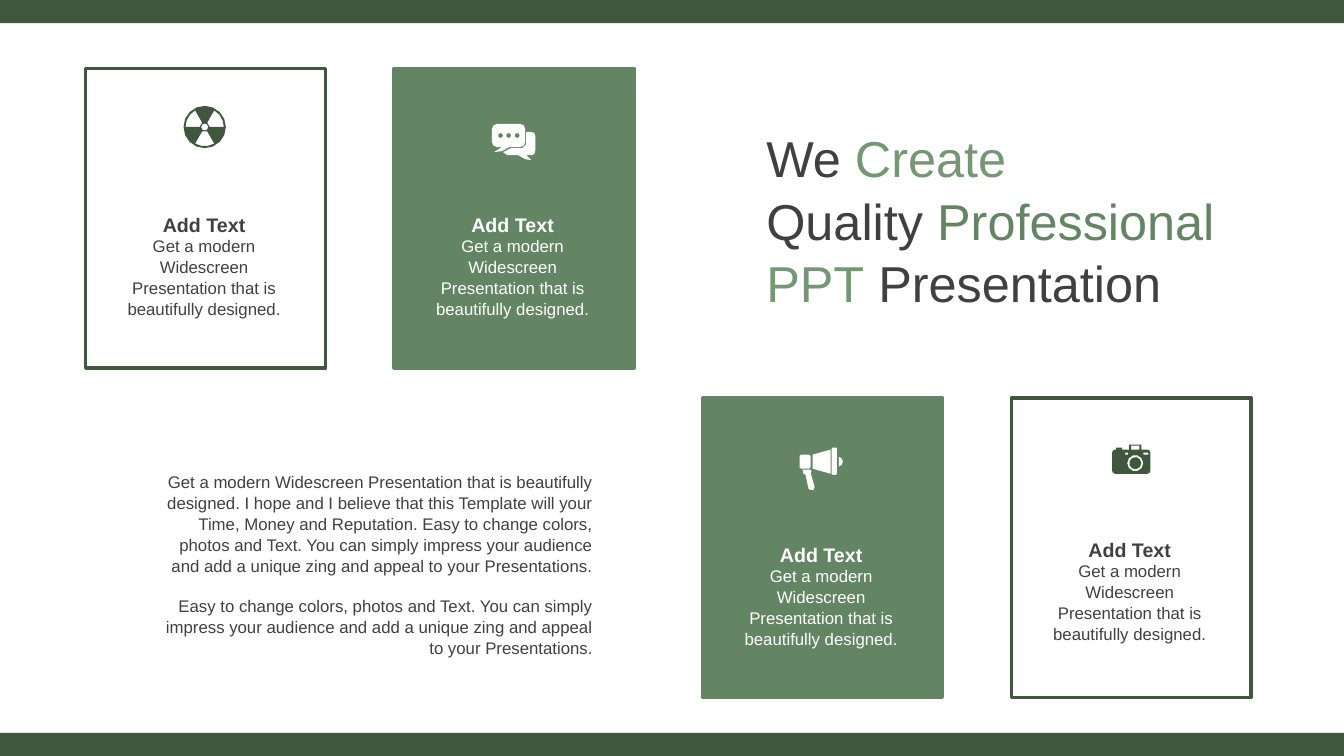
from dataclasses import dataclass
from math import cos, radians, sin

from lxml.etree import SubElement
from pptx import Presentation
from pptx.dml.color import RGBColor
from pptx.enum.shapes import MSO_SHAPE
from pptx.enum.text import MSO_ANCHOR, MSO_AUTO_SIZE, PP_ALIGN
from pptx.oxml.ns import qn
from pptx.util import Inches, Pt


@dataclass(frozen=True)
class Theme:
    dark: str = "3F573C"
    green: str = "638564"
    light: str = "759774"
    ink: str = "404040"
    white: str = "FFFFFF"
    font: str = "Arial"
    headline: int = 36
    label: int = 14
    body: int = 12
    border: float = 2.5
    line_spacing: float = 1.04


THEME = Theme()


def arc(x, y, radius, start=0, stop=360):
    if radius == 0:
        return [(x, y)]
    steps = max(1, round(abs(stop - start) / 360 * (6 + radius / 2)))
    angles = [radians(start + (stop - start) * i / steps) for i in range(steps + 1)]
    return [(x + radius * cos(a), y + radius * sin(a)) for a in angles]


def rounded(left, top, width, height, radius=0):
    right, bottom = left + width - radius, top + height - radius
    left, top = left + radius, top + radius
    return (arc(left, top, radius, 180, 270) + arc(right, top, radius, 270, 360)
            + arc(right, bottom, radius, 0, 90) + arc(left, bottom, radius, 90, 180))


def blade(start):
    return arc(21, 21, 19, start, start + 60) + arc(21, 21, 5, start + 60, start)


RADIATION = [arc(21, 21, 21), arc(21, 21, 3.5), blade(60), blade(180), blade(300)]
CHAT = [
    *[arc(x, 11.5, 2.5) for x in (8.5, 16.5, 25)],
    rounded(0, 0, 33, 23, 5),
    [(10, 23), (17, 23), (10, 27), (2, 28)],
    [(34, 8), (39, 8), (42, 9), (43, 12), (43, 26), (42, 30), (39, 31), (34, 31),
     (39, 36), (33, 35), (26, 31), (15, 31), (11, 28), (19, 24), (30, 24), (34, 20)],
]
MEGAPHONE = [
    [(11, 22), (12, 24), (11, 25), (15, 39), (14, 42), (11, 42), (9, 41),
     (6, 27), (4, 26), (3, 22)],
    [(39, 9), (42, 11), (43, 14), (42, 17), (39, 19)],
    rounded(0, 7, 11, 14, 2),
    [(31, 2), (31, 26), (13, 21), (13, 7)],
    rounded(32, 0, 5, 27, 1),
]
CAMERA = [
    rounded(0, 5, 38, 24, 3), arc(23, 18.5, 8), arc(23, 18.5, 6),
    rounded(13, 8, 3, 2), rounded(31, 8, 5, 2),
    rounded(17, 0, 12, 5), rounded(19, 1, 8, 4), rounded(4, 3, 6, 2),
]

HEADLINE = [
    [("We ", THEME.ink), ("Create", THEME.light)],
    [("Quality ", THEME.ink), ("Professional", THEME.green)],
    [("PPT", THEME.light), (" Presentation", THEME.ink)],
]
STORY = [
    "Get a modern Widescreen Presentation that is beautifully designed. I hope and "
    "I believe that this Template will your Time, Money and Reputation. Easy to change "
    "colors, photos and Text. You can simply impress your audience and add a unique "
    "zing and appeal to your Presentations.",
    "Easy to change colors, photos and Text. You can simply impress your audience "
    "and add a unique zing and appeal to your Presentations.",
]
CARD_LABEL = "Add Text"
CARD_TEXT = "Get a modern Widescreen Presentation that is beautifully designed."
CARDS = [
    (RADIATION, 0.97, 0.37, 0.68, 1.37, False),
    (CHAT, 0.97, 0.55, 0.68, 1.37, True),
    (MEGAPHONE, 0.96, 0.49, 3.95, 1.38, True),
    (CAMERA, 1.0, 0.46, 3.95, 1.33, False),
]

SLIDE_WIDTH, SLIDE_HEIGHT = 13.33, 7.5
CARD_LEFT, CARD_STEP, CARD_WIDTH, CARD_HEIGHT = 0.85, 3.06, 2.38, 2.97
BAND_HEIGHT = 0.23


def write(box, lines, *, size, color=THEME.ink, bold=False, align=PP_ALIGN.LEFT,
          gap=0, plain=False):
    frame = box.text_frame
    frame.word_wrap = True
    frame.auto_size = MSO_AUTO_SIZE.NONE
    for index, line in enumerate(lines):
        para = frame.add_paragraph() if index else frame.paragraphs[0]
        if plain:
            properties = para._p.get_or_add_pPr()
            properties.set("marL", "0")
            properties.set("indent", "0")
            SubElement(properties, qn("a:buNone"))
        para.alignment = align
        para.line_spacing = THEME.line_spacing
        para.space_before = Pt(gap if index else 0)
        for text, tint in [(line, color)] if isinstance(line, str) else line:
            span = para.add_run()
            span.text = text
            span.font.name = THEME.font
            span.font.size = Pt(size)
            span.font.bold = bold
            span.font.color.rgb = RGBColor.from_string(tint)


def place(shape, left, top, width, height):
    shape.left, shape.top = Inches(left), Inches(top)
    shape.width, shape.height = Inches(width), Inches(height)


def paint(shape, fill, line=None):
    shape.shadow.inherit = False
    shape.fill.solid()
    shape.fill.fore_color.rgb = RGBColor.from_string(fill)
    if line:
        shape.line.color.rgb = RGBColor.from_string(line)
        shape.line.width = Pt(THEME.border)
    else:
        shape.line.fill.background()


def add_panel(page, left, top, width, height, fill, line=None):
    panel = page.shapes.add_shape(MSO_SHAPE.RECTANGLE, Inches(left), Inches(top),
                                  Inches(width), Inches(height))
    paint(panel, fill, line)


def add_icon(page, contours, left, top, color):
    builder = None
    for contour in contours:
        points = [(Inches(x / 100), Inches(y / 100)) for x, y in contour]
        if builder is None:
            builder = page.shapes.build_freeform(*points[0])
        else:
            builder.move_to(*points[0])
        builder.add_line_segments(points[1:], close=True)
    paint(builder.convert_to_shape(Inches(left), Inches(top)), color)


def add_card(page, index, card):
    icon, icon_left, icon_top, top, label_top, filled = card
    left = CARD_LEFT + index * CARD_STEP
    fill, line = (THEME.green, THEME.green) if filled else (THEME.white, THEME.dark)
    add_panel(page, left, top, CARD_WIDTH, CARD_HEIGHT, fill, line)
    add_icon(page, icon, left + icon_left, top + icon_top,
             THEME.white if filled else THEME.dark)
    for text, offset, height, size, bold in [
        (CARD_LABEL, 0, 0.34, THEME.label, True),
        (CARD_TEXT, 0.23, 0.91, THEME.body, False),
    ]:
        box = page.shapes.add_textbox(Inches(left + 0.26),
                                      Inches(top + label_top + offset),
                                      Inches(1.83), Inches(height))
        write(box, [text], size=size, bold=bold, align=PP_ALIGN.CENTER,
              color=THEME.white if filled else THEME.ink)


def main():
    deck = Presentation()
    deck.slide_width, deck.slide_height = Inches(SLIDE_WIDTH), Inches(SLIDE_HEIGHT)
    page = deck.slides.add_slide(deck.slide_layouts[1])

    title, story = page.shapes.title, page.placeholders[1]
    place(title, 7.56, 1.26, 4.73, 1.82)
    write(title, HEADLINE, size=THEME.headline)
    frame = title.text_frame
    frame.vertical_anchor = MSO_ANCHOR.MIDDLE
    frame.margin_left = frame.margin_right = Inches(0.04)
    frame.margin_top = frame.margin_bottom = 0

    place(story, 1.4, 4.62, 4.58, 1.92)
    write(story, STORY, size=THEME.body, align=PP_ALIGN.RIGHT, gap=14, plain=True)

    for index, card in enumerate(CARDS):
        add_card(page, index, card)
    for top in (0, SLIDE_HEIGHT - BAND_HEIGHT):
        add_panel(page, 0, top, SLIDE_WIDTH, BAND_HEIGHT, THEME.dark)

    deck.save("out.pptx")


if __name__ == "__main__":
    main()
